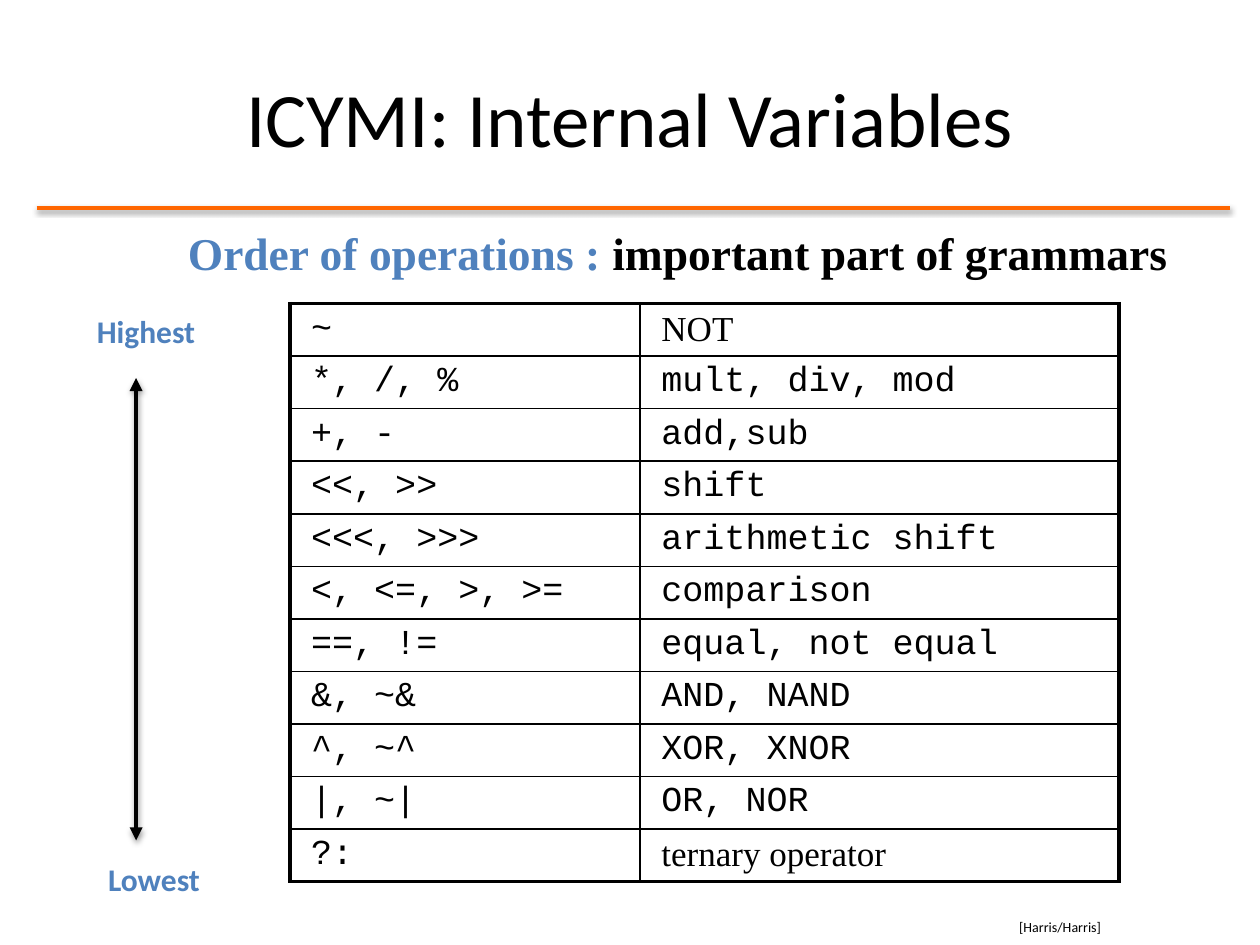
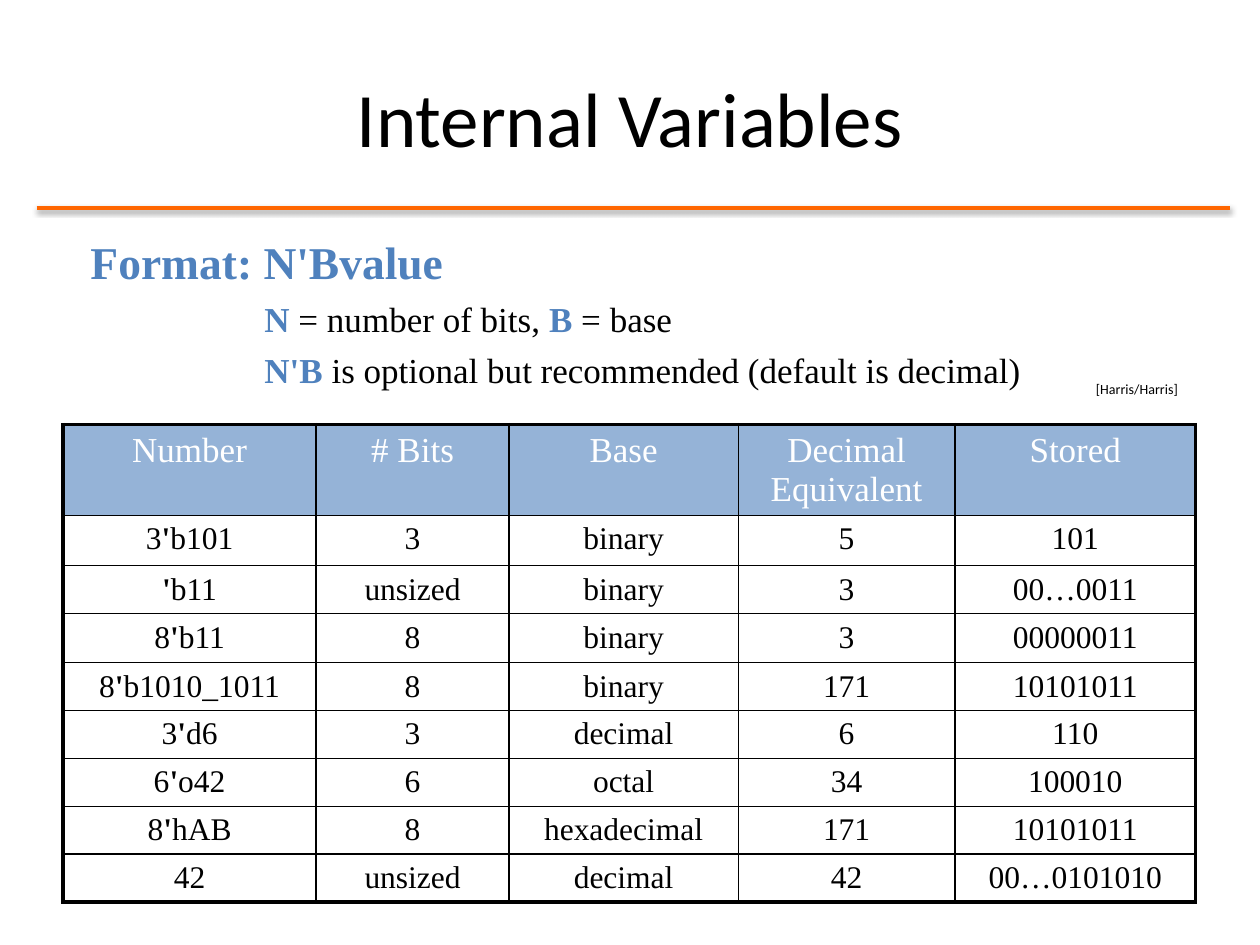
from dataclasses import dataclass
from lxml.etree import SubElement
from pptx import Presentation
from pptx.dml.color import RGBColor
from pptx.enum.shapes import MSO_CONNECTOR
from pptx.enum.text import MSO_ANCHOR, PP_ALIGN
from pptx.oxml.ns import qn
from pptx.util import Inches, Pt


@dataclass(frozen=True)
class Theme:
    black: str = "000000"
    white: str = "FFFFFF"
    blue: str = "4F81BD"
    head: str = "95B3D7"
    orange: str = "FF6600"
    sans: str = "Calibri"
    serif: str = "Times New Roman"
    mono: str = "Courier New"
    title: int = 44
    lead: int = 26
    body: int = 20
    small: int = 18
    note: int = 8
    thin: float = 1
    thick: float = 2.25


LOOK = Theme()


def write(para, text, font=LOOK.serif, size=LOOK.body, color=LOOK.black, bold=False):
    run = para.add_run()
    run.text = text
    run.font.name = font
    run.font.size = Pt(size)
    run.font.bold = bold
    run.font.color.rgb = RGBColor.from_string(color)


def paint(parent, color):
    fill = SubElement(parent, qn("a:solidFill"))
    return SubElement(fill, qn("a:srgbClr"), val=color)


def edge(cell, tag, width):
    line = SubElement(cell._tc.get_or_add_tcPr(), qn(tag), w=str(Pt(width)))
    paint(line, LOOK.black)


class Deck:
    def __init__(self, look):
        self.look = look
        self.show = Presentation()
        self.show.slide_width = Inches(10)
        self.show.slide_height = Inches(7.5)
        self.slide = None

    def page(self, title):
        self.slide = self.show.slides.add_slide(self.show.slide_layouts[5])
        self.line(0.29, 1.65, 9.76, 1.65, self.look.orange, 2)
        shape = self.slide.shapes.title
        shape.left, shape.top = Inches(0.5), Inches(0.3)
        shape.width, shape.height = Inches(9), Inches(1.25)
        frame = shape.text_frame
        frame.vertical_anchor = MSO_ANCHOR.MIDDLE
        para = frame.paragraphs[0]
        para.alignment = PP_ALIGN.CENTER
        write(para, title, font=self.look.sans, size=self.look.title)

    def line(self, left, top, right, bottom, color, width, arrows=False):
        link = self.slide.shapes.add_connector(
            MSO_CONNECTOR.STRAIGHT, Inches(left), Inches(top), Inches(right), Inches(bottom))
        link.line.color.rgb = RGBColor.from_string(color)
        link.line.width = Pt(width)
        props = link._element.spPr
        if arrows:
            for tag in ("a:headEnd", "a:tailEnd"):
                SubElement(props.find(qn("a:ln")), qn(tag), type="triangle")
        shade = SubElement(SubElement(props, qn("a:effectLst")), qn("a:outerShdw"),
                           blurRad="40000", dist="20000", dir="5400000", rotWithShape="0")
        SubElement(paint_shade(shade, self.look.black), qn("a:alpha"), val="38000")

    def text(self, left, top, width, height, lines, align=PP_ALIGN.LEFT, indent=0, gap=0, wrap=True):
        box = self.slide.shapes.add_textbox(Inches(left), Inches(top), Inches(width), Inches(height))
        frame = box.text_frame
        frame.word_wrap = wrap
        for row, parts in enumerate(lines):
            para = frame.add_paragraph() if row else frame.paragraphs[0]
            para.alignment = align
            if row:
                para.space_before = Pt(gap)
                para._p.get_or_add_pPr().set("marL", str(Inches(indent)))
            for words, style in parts:
                write(para, words, **style)

    def label(self, left, top, width, words):
        style = dict(font=self.look.sans, size=self.look.small, color=self.look.blue, bold=True)
        self.text(left, top, width, 0.4, [[(words, style)]])

    def credit(self, left, top):
        style = dict(font=self.look.sans, size=self.look.note)
        self.text(left, top, 0.86, 0.24, [[("[Harris/Harris]", style)]], wrap=False)

    def table(self, left, top, widths, heights, rows, style, inset, align=PP_ALIGN.LEFT, head=False):
        grid = self.slide.shapes.add_table(
            len(rows), len(widths), Inches(left), Inches(top),
            Inches(sum(widths)), Inches(sum(heights))).table
        grid.first_row = grid.horz_banding = False
        for track, width in zip(grid.columns, widths):
            track.width = Inches(width)
        for track, height in zip(grid.rows, heights):
            track.height = Inches(height)
        for r, row in enumerate(rows):
            for c, words in enumerate(row):
                cell = grid.cell(r, c)
                cell.margin_left = cell.margin_right = Inches(inset)
                cell.margin_top = cell.margin_bottom = Inches(0.05)
                outer = {"a:lnL": c == 0, "a:lnR": c == len(widths) - 1,
                         "a:lnT": r == 0, "a:lnB": r == len(rows) - 1}
                for tag, rim in outer.items():
                    edge(cell, tag, self.look.thick if rim else self.look.thin)
                if head and r == 0:
                    cell.fill.solid()
                    cell.fill.fore_color.rgb = RGBColor.from_string(self.look.head)
                else:
                    cell.fill.background()
                para = cell.text_frame.paragraphs[0]
                para.alignment = align
                for part in words.replace("'", "\n'\n").split("\n"):
                    if part:
                        write(para, part, **style(r, c, part))


def paint_shade(shade, color):
    return SubElement(shade, qn("a:srgbClr"), val=color)


def order(deck):
    look = deck.look
    rows = [
        ("~", "NOT"),
        ("*, /, %", "mult, div, mod"),
        ("+, -", "add,sub"),
        ("<<, >>", "shift"),
        ("<<<, >>>", "arithmetic shift"),
        ("<, <=, >, >=", "comparison"),
        ("==, !=", "equal, not equal"),
        ("&, ~&", "AND, NAND"),
        ("^, ~^", "XOR, XNOR"),
        ("|, ~|", "OR, NOR"),
        ("?:", "ternary operator"),
    ]

    def style(r, c, part):
        return dict(font=look.serif if part in ("NOT", "ternary operator") else look.mono)

    deck.page("ICYMI: Internal Variables")
    deck.table(2.3, 2.41, [2.78, 3.8], [4.59 / len(rows)] * len(rows), rows, style, 0.17)
    lead = dict(size=look.lead, bold=True)
    deck.text(0.92, 1.74, 8.92, 0.54, [[
        ("Order of operations : ", dict(lead, color=look.blue)),
        ("important part of grammars", lead)]], align=PP_ALIGN.CENTER)
    deck.label(0.67, 2.43, 1.12, "Highest")
    deck.label(0.76, 6.78, 1, "Lowest")
    deck.line(1.08, 3, 1.08, 6.67, look.black, 2.5, arrows=True)
    deck.credit(7.99, 7.24)


def format_page(deck):
    look = deck.look
    rows = [
        ("Number", "# Bits", "Base", "Decimal Equivalent", "Stored"),
        ("3'b101", "3", "binary", "5", "101"),
        ("'b11", "unsized", "binary", "3", "00…0011"),
        ("8'b11", "8", "binary", "3", "00000011"),
        ("8'b1010_1011", "8", "binary", "171", "10101011"),
        ("3'd6", "3", "decimal", "6", "110"),
        ("6'o42", "6", "octal", "34", "100010"),
        ("8'hAB", "8", "hexadecimal", "171", "10101011"),
        ("42", "unsized", "decimal", "42", "00…0101010"),
    ]

    def style(r, c, part):
        if r == 0:
            return dict(color=look.white)
        return dict(size=look.small, bold=part == "'")

    deck.page("Internal Variables")
    deck.table(0.5, 3.37, [2.01, 1.53, 1.82, 1.72, 1.91],
               [0.72, 0.4, 0.38, 0.39] + [0.38] * 5, rows, style, 0.11,
               align=PP_ALIGN.CENTER, head=True)
    key = dict(color=look.blue, bold=True)
    deck.text(0.62, 1.81, 8.5, 1.37, [
        [("Format: N'Bvalue", dict(key, size=look.lead))],
        [("N", key), (" = number of bits, ", {}), ("B", key), (" = base", {})],
        [("N'B", key), (" is optional but recommended (default is decimal)", {})],
    ], indent=1.38, gap=5)
    deck.credit(8.6, 2.97)


def main():
    deck = Deck(LOOK)
    order(deck)
    format_page(deck)
    deck.show.save("out.pptx")


if __name__ == "__main__":
    main()
